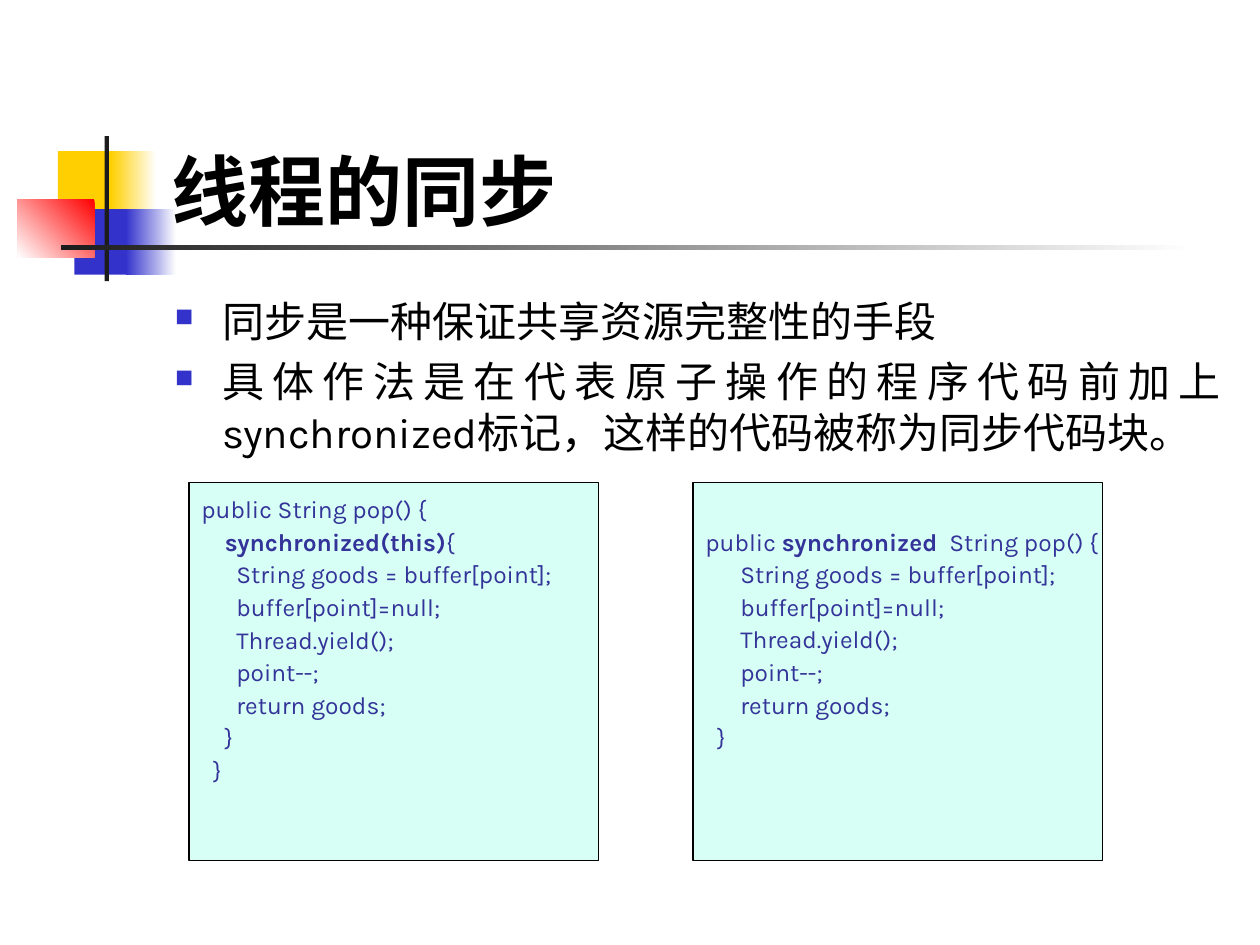
"""Build the slide on thread synchronization with two code panels."""
from dataclasses import dataclass

from lxml.etree import SubElement
from pptx import Presentation
from pptx.dml.color import RGBColor as Rgb
from pptx.enum.shapes import MSO_SHAPE as Kind
from pptx.enum.text import MSO_ANCHOR as Anchor, MSO_AUTO_SIZE as Auto, PP_ALIGN as Align
from pptx.oxml.ns import qn
from pptx.util import Pt


@dataclass(frozen=True)
class Theme:
    face: str = "Karla"
    ink: str = "000000"
    code: str = "333399"
    panel: str = "D7FFF5"
    blue: str = "3333CC"
    gold: str = "FFCF01"
    red: str = "FF0000"
    dark: str = "1C1C1C"
    white: str = "FFFFFF"
    head: int = 44
    body: int = 24
    small: int = 14


LOOK = Theme()
TITLE = "线程的同步"
POINTS = [
    "同步是一种保证共享资源完整性的手段",
    "具体作法是在代表原子操作的程序代码前加上synchronized标记，这样的代码被称为同步代码块。",
]
STEPS = [
    "      String goods = buffer[point];",
    "      buffer[point]=null;",
    "      Thread.yield();",
    "      point--;",
    "      return goods;",
]
BLOCK = ["public String pop() {", ("    ", "synchronized(this)", "{"), *STEPS, "    }", "  }"]
METHOD = [("public ", "synchronized", "  String pop() {"), *STEPS, "  }"]
PANELS = [(BLOCK, 8.5), (METHOD, 27.1)]
DECOR = [
    ((33.1, 86.4, 34.6, 37.4), (LOOK.gold,), 0),
    ((63.4, 86.4, 25.9, 37.4), (LOOK.white, LOOK.gold), 180),
    ((42.5, 119.5, 33.1, 37.4), (LOOK.blue,), 0),
    ((72, 119.5, 28.8, 37.4), (LOOK.white, LOOK.blue), 180),
    ((10.1, 113.8, 43.9, 33.1), (LOOK.red, LOOK.white), 225),
    ((59.8, 77.8, 2.4, 82.8), (LOOK.dark,), 0),
    ((34.6, 140.2, 648, 2.4), (LOOK.white, LOOK.dark), 180),
]
PANEL_X, PANEL_Y, PANEL_W, PANEL_H, STEP_X = 108, 275.8, 234, 216, 288


def style(font, size, tint, bold=False):
    font.name, font.size, font.bold = LOOK.face, Pt(size), bold
    font.color.rgb = Rgb.from_string(tint)


def add_rect(shapes, box, tints, angle=0):
    rect = shapes.add_shape(Kind.RECTANGLE, *map(Pt, box))
    rect.shadow.inherit = False
    rect.line.fill.background()
    if len(tints) == 1:
        rect.fill.solid()
        rect.fill.fore_color.rgb = Rgb.from_string(tints[0])
    else:
        rect.fill.gradient()
        rect.fill.gradient_angle = angle
        for stop, tint in zip(rect.fill.gradient_stops, tints):
            stop.color.rgb = Rgb.from_string(tint)
    return rect


def add_lines(frame, count):
    return [frame.paragraphs[0], *(frame.add_paragraph() for _ in range(count - 1))]


def set_title(shapes):
    title = shapes.title
    shapes.element.append(title.element)
    title.left, title.top, title.width, title.height = map(Pt, (90.7, 48.2, 613.4, 90))
    frame = title.text_frame
    frame.text = TITLE
    frame.auto_size, frame.vertical_anchor = Auto.NONE, Anchor.BOTTOM
    para = frame.paragraphs[0]
    para.alignment = Align.LEFT
    style(para.font, LOOK.head, LOOK.ink, True)


def add_bullet(para):
    props = para._p.get_or_add_pPr()
    props.set("marL", str(Pt(27)))
    props.set("indent", str(Pt(-27)))
    SubElement(SubElement(props, qn("a:buClr")), qn("a:srgbClr"), val=LOOK.blue)
    SubElement(props, qn("a:buSzPct"), val="60000")
    SubElement(props, qn("a:buChar"), char="■")


def add_points(shapes):
    frame = shapes.add_textbox(*map(Pt, (92.9, 165.1, 612, 100))).text_frame
    frame.word_wrap = True
    for row, (para, text) in enumerate(zip(add_lines(frame, len(POINTS)), POINTS)):
        add_bullet(para)
        para.text, para.alignment = text, Align.JUSTIFY
        para.space_before = Pt(6 if row else 0)
        style(para.font, LOOK.body, LOOK.ink)


def add_panel(shapes, left, lines, inset):
    rect = add_rect(shapes, (left, PANEL_Y, PANEL_W, PANEL_H), (LOOK.panel,))
    rect.line.color.rgb = Rgb.from_string(LOOK.ink)
    rect.line.width = Pt(0.75)
    frame = rect.text_frame
    frame.word_wrap, frame.vertical_anchor = False, Anchor.TOP
    frame.margin_top = Pt(inset)
    for row, (para, line) in enumerate(zip(add_lines(frame, len(lines)), lines)):
        para.alignment, para.line_spacing = Align.LEFT, 0.9
        para.space_before = Pt(3.5 if row else 0)
        style(para.font, LOOK.small, LOOK.code)
        for spot, text in enumerate((line,) if isinstance(line, str) else line):
            run = para.add_run()
            run.text = text
            if spot == 1:
                run.font.bold = True


def main():
    deck = Presentation()
    deck.slide_width, deck.slide_height = Pt(720), Pt(540)
    shapes = deck.slides.add_slide(deck.slide_layouts[5]).shapes
    for box, tints, angle in DECOR:
        add_rect(shapes, box, tints, angle)
    set_title(shapes)
    add_points(shapes)
    for col, (lines, inset) in enumerate(PANELS):
        add_panel(shapes, PANEL_X + col * STEP_X, lines, inset)
    deck.save("out.pptx")


if __name__ == "__main__":
    main()
